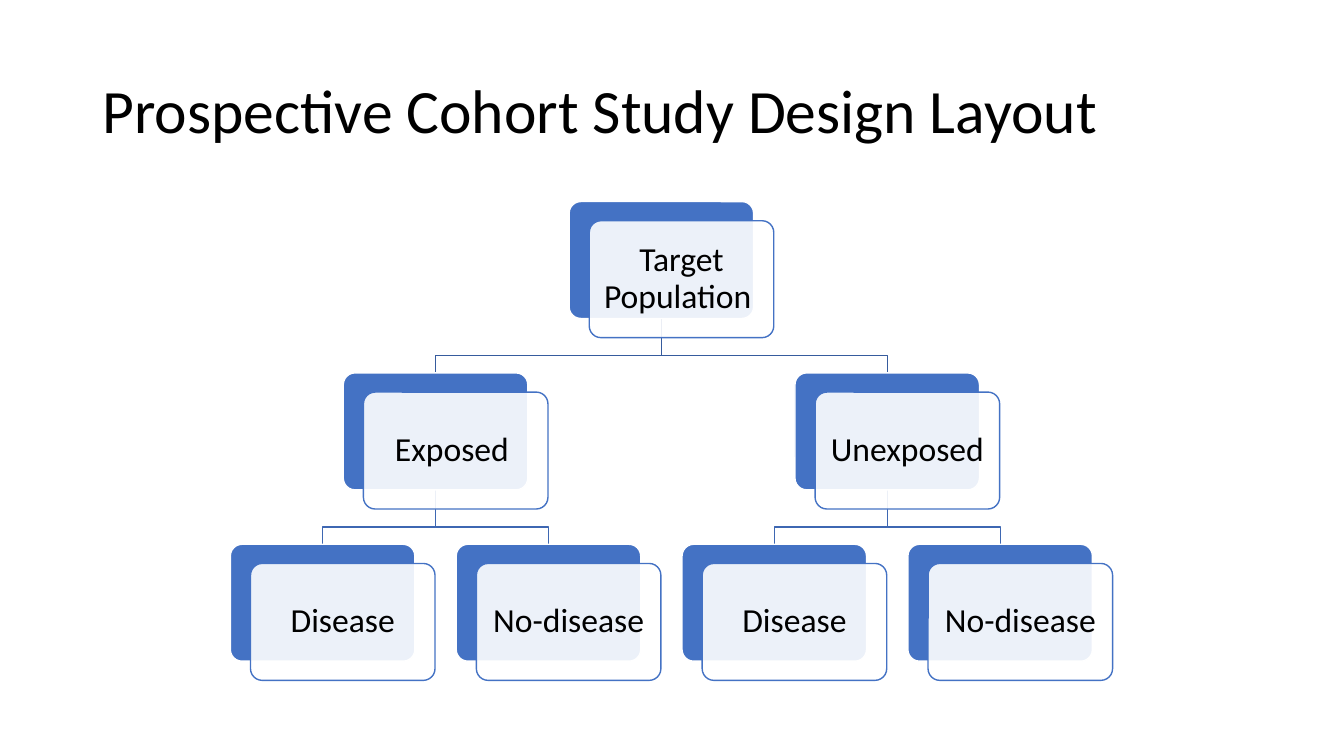
from lxml.etree import SubElement as Sub
from pptx import Presentation
from pptx.dml.color import RGBColor as Rgb
from pptx.enum.shapes import MSO_SHAPE as Kind
from pptx.enum.text import MSO_ANCHOR as Anchor, PP_ALIGN as Align
from pptx.oxml.ns import qn
from pptx.util import Inches, Pt

theme = {
    "font": "Calibri", "title": Pt(44), "label": Pt(24), "rule": Pt(1),
    "ink": Rgb.from_string("000000"), "white": Rgb.from_string("FFFFFF"),
    "blue": Rgb.from_string("4472C4"),
    "links": [Rgb.from_string("365B9D"), Rgb.from_string("3E67B2")],
}
nodes = [
    ("Target Population ", 1.5, 0, None),
    ("Exposed ", 0.5, 1, 0),
    ("Unexposed", 2.5, 1, 0),
    ("Disease", 0, 2, 1),
    ("No-disease", 1, 2, 1),
    ("Disease", 2, 2, 2),
    ("No-disease", 3, 2, 2),
]
wide, high = 1.83, 1.16
left, top = 3.2, 2
step, drop = 2.24, 1.7
elbow = 0.37


def write(shape, text, size, align, margin):
    frame = shape.text_frame
    form = {"word_wrap": True, "vertical_anchor": Anchor.MIDDLE,
            "margin_left": margin, "margin_right": margin,
            "margin_top": margin, "margin_bottom": margin}
    for key, value in form.items():
        setattr(frame, key, value)
    para = frame.paragraphs[0]
    para.alignment = align
    para.line_spacing = 0.9
    run = para.add_run()
    run.text = text
    for key, value in {"name": theme["font"], "size": size}.items():
        setattr(run.font, key, value)
    run.font.color.rgb = theme["ink"]


def card(x, y, fill, line):
    box = shapes.add_shape(Kind.ROUNDED_RECTANGLE, Inches(x), Inches(y),
                           Inches(wide), Inches(high))
    box.adjustments[0] = 0.1
    box.shadow.inherit = False
    box.fill.solid()
    box.fill.fore_color.rgb = fill
    box.line.color.rgb = line
    box.line.width = theme["rule"]
    return box


deck = Presentation()
deck.slide_width, deck.slide_height = Inches(13.33), Inches(7.5)
shapes = deck.slides.add_slide(deck.slide_layouts[6]).shapes

title = shapes.add_textbox(Inches(0.92), Inches(0.4), Inches(11.5), Inches(1.45))
write(title, "Prospective Cohort Study Design Layout", theme["title"],
      Align.LEFT, Inches(0.1))

for text, col, row, parent in nodes[1:]:
    start = Inches(left + nodes[parent][1] * step)
    end = Inches(left + col * step)
    base = top + (row - 1) * drop + high
    bend = Inches(base + elbow)
    path = shapes.build_freeform(start, Inches(base))
    path.add_line_segments([(start, bend), (end, bend),
                            (end, Inches(top + row * drop))], close=False)
    link = path.convert_to_shape()
    link.shadow.inherit = False
    link.fill.background()
    link.line.color.rgb = theme["links"][row - 1]
    link.line.width = theme["rule"]

for text, col, row, parent in nodes:
    x, y = left + col * step - wide / 2, top + row * drop
    card(x, y, theme["blue"], theme["white"])
    front = card(x + 0.2, y + 0.19, theme["white"], theme["blue"])
    tint = front.fill._xPr.find(qn("a:solidFill"))[0]
    Sub(tint, qn("a:alpha"), val="90000")
    write(front, text, theme["label"], Align.CENTER, Inches(0.1))

deck.save("out.pptx")
